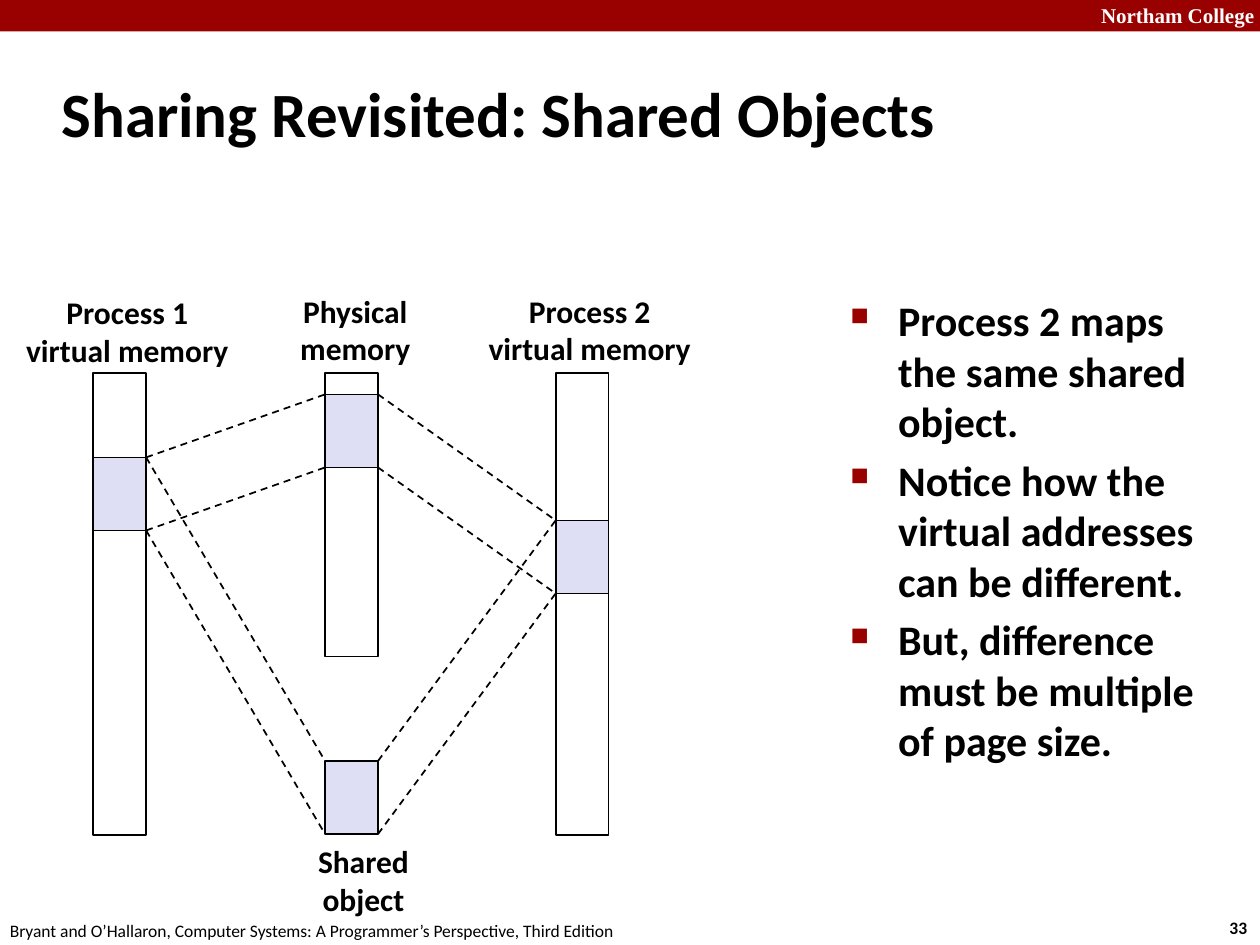
from lxml import etree
from pptx import Presentation
from pptx.dml.color import RGBColor
from pptx.enum.dml import MSO_LINE_DASH_STYLE as DASH
from pptx.enum.shapes import MSO_CONNECTOR as CONNECTOR, MSO_SHAPE as SHAPE
from pptx.enum.text import MSO_ANCHOR as ANCHOR, PP_ALIGN as ALIGN
from pptx.oxml.ns import qn
from pptx.util import Inches, Pt

COLORS = {"brand": "990000", "ink": "000000", "paper": "FFFFFF", "shared": "DEDFF5"}
COLUMN_WIDTH = 0.42
PAGE_HEIGHT = 0.58
MEMORY_TOP = 2.96


def rgb(name):
    return RGBColor.from_string(COLORS[name])


def write_text(paragraph, text, size=18, bold=True, color="ink", font="Calibri", align=ALIGN.LEFT):
    paragraph.alignment = align
    run = paragraph.add_run()
    run.text = text
    run.font.size = Pt(size)
    run.font.bold = bold
    run.font.name = font
    run.font.color.rgb = rgb(color)


class SlidePainter:
    """Draws the elements of one slide in a shared style."""

    def __init__(self, slide):
        self.slide = slide

    def rectangle(self, left, top, width, height, fill=None, outlined=True):
        rect = self.slide.shapes.add_shape(
            SHAPE.RECTANGLE, Inches(left), Inches(top), Inches(width), Inches(height))
        rect.shadow.inherit = False
        if fill:
            rect.fill.solid()
            rect.fill.fore_color.rgb = rgb(fill)
        else:
            rect.fill.background()
        if outlined:
            rect.line.color.rgb = rgb("ink")
            rect.line.width = Pt(1)
        else:
            rect.line.fill.background()

    def text(self, lines, left, top, width, height, wrap=False, anchor=ANCHOR.TOP, **style):
        box = self.slide.shapes.add_textbox(
            Inches(left), Inches(top), Inches(width), Inches(height))
        frame = box.text_frame
        frame.word_wrap = wrap
        frame.vertical_anchor = anchor
        for index, line in enumerate(lines):
            paragraph = frame.add_paragraph() if index else frame.paragraphs[0]
            write_text(paragraph, line, **style)
        return frame

    def label(self, lines, left, top, width):
        self.text(lines, left, top, width, 0.71, anchor=ANCHOR.MIDDLE, align=ALIGN.CENTER)

    def bullets(self, lines, left, top, width, height, size):
        frame = self.text(lines, left, top, width, height, wrap=True, size=size)
        for paragraph in frame.paragraphs:
            paragraph.space_before = Pt(size * 0.2)
            properties = paragraph._p.get_or_add_pPr()
            properties.set("marL", str(Inches(0.38)))
            properties.set("indent", str(-Inches(0.38)))
            bullet_color = etree.SubElement(properties, qn("a:buClr"))
            etree.SubElement(bullet_color, qn("a:srgbClr"), val=COLORS["brand"])
            etree.SubElement(properties, qn("a:buSzPct"), val="60000")
            etree.SubElement(properties, qn("a:buChar"), char="■")

    def dashed_line(self, x1, y1, x2, y2):
        line = self.slide.shapes.add_connector(
            CONNECTOR.STRAIGHT, Inches(x1), Inches(y1), Inches(x2), Inches(y2))
        line.line.color.rgb = rgb("ink")
        line.line.width = Pt(1)
        line.line.dash_style = DASH.DASH
        etree.SubElement(line._element.spPr, qn("a:effectLst"))

    def mapping(self, start, end):
        (left, left_top), (right, right_top) = start, end
        for offset in (0, PAGE_HEIGHT):
            self.dashed_line(left + COLUMN_WIDTH, left_top + offset, right, right_top + offset)


def main():
    prs = Presentation()
    prs.slide_width, prs.slide_height = Inches(10), Inches(7.5)
    painter = SlidePainter(prs.slides.add_slide(prs.slide_layouts[6]))

    painter.rectangle(0, 0, 10, 0.25, fill="brand", outlined=False)
    painter.text(["Northam College"], 8.64, -0.03, 1.43, 0.3,
                 size=12, color="paper", font="Times New Roman")
    painter.text(["33"], 9.66, 7.23, 0.37, 0.27, size=10)
    painter.text(["Bryant and O’Hallaron, Computer Systems: A Programmer’s Perspective, Third Edition"],
                 -0.02, 7.25, 5.08, 0.27, size=10, bold=False)
    painter.text(["Sharing Revisited: Shared Objects"], 0.39, 0.48, 8.3, 0.83,
                 wrap=True, anchor=ANCHOR.MIDDLE, size=36)

    process1, physical, process2 = 0.74, 2.58, 4.41
    for left, height in ((physical, 2.25), (process1, 3.67), (process2, 3.67)):
        painter.rectangle(left, MEMORY_TOP, COLUMN_WIDTH, height)

    shared_object = (physical, 6.04)
    physical_page = (physical, 3.13)
    process1_page = (process1, 3.63)
    process2_page = (process2, 4.13)
    for left, top in (shared_object, physical_page, process1_page, process2_page):
        painter.rectangle(left, top, COLUMN_WIDTH, PAGE_HEIGHT, fill="shared")
    for target in (shared_object, physical_page):
        painter.mapping(process1_page, target)
        painter.mapping(target, process2_page)

    painter.label(["Process 1", "virtual memory"], 0.1, 2.27, 1.82)
    painter.label(["Physical", "memory"], 2.28, 2.26, 1.08)
    painter.label(["Process 2", "virtual memory"], 3.77, 2.26, 1.82)
    painter.label(["Shared", "object"], 2.42, 6.63, 0.93)

    painter.bullets(["Process 2 maps the same shared object.",
                     "Notice how the virtual addresses can be different.",
                     "But, difference must be multiple of page size."],
                    6.65, 2.29, 3.08, 5.04, size=24)
    prs.save("out.pptx")


if __name__ == "__main__":
    main()
